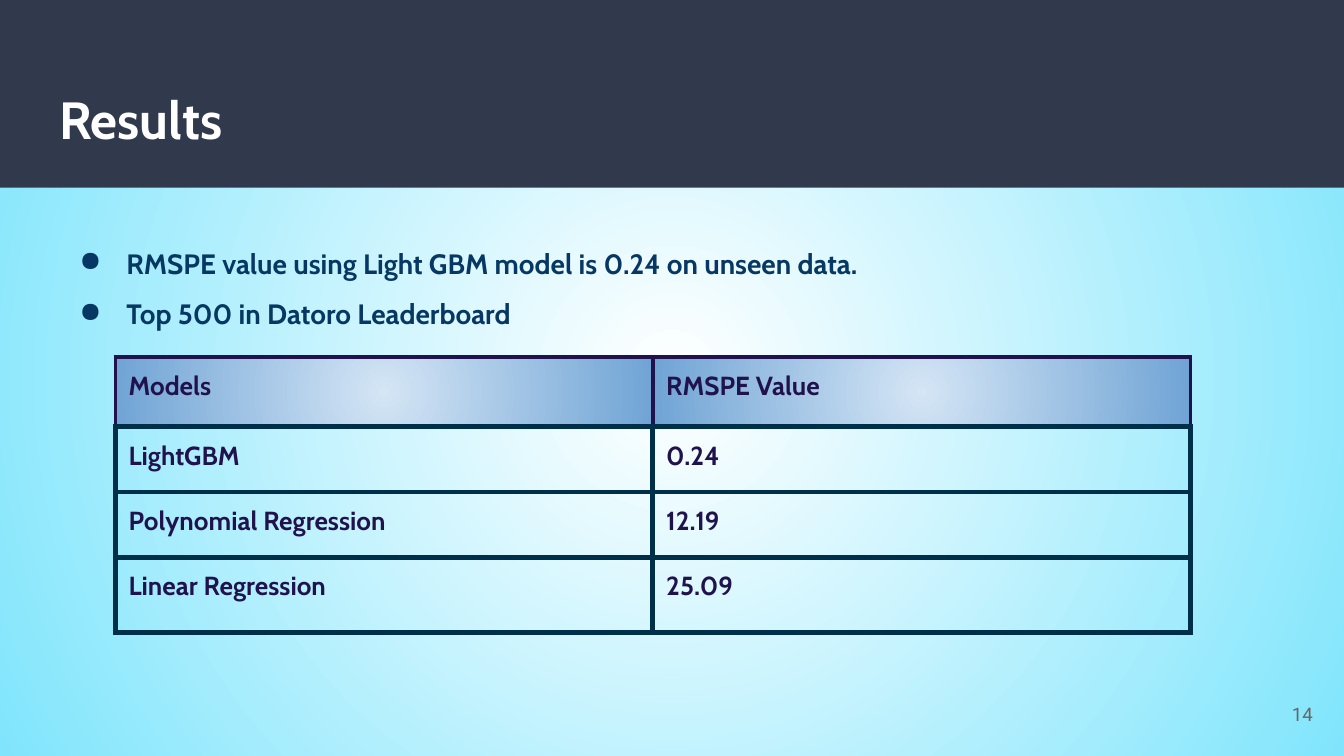
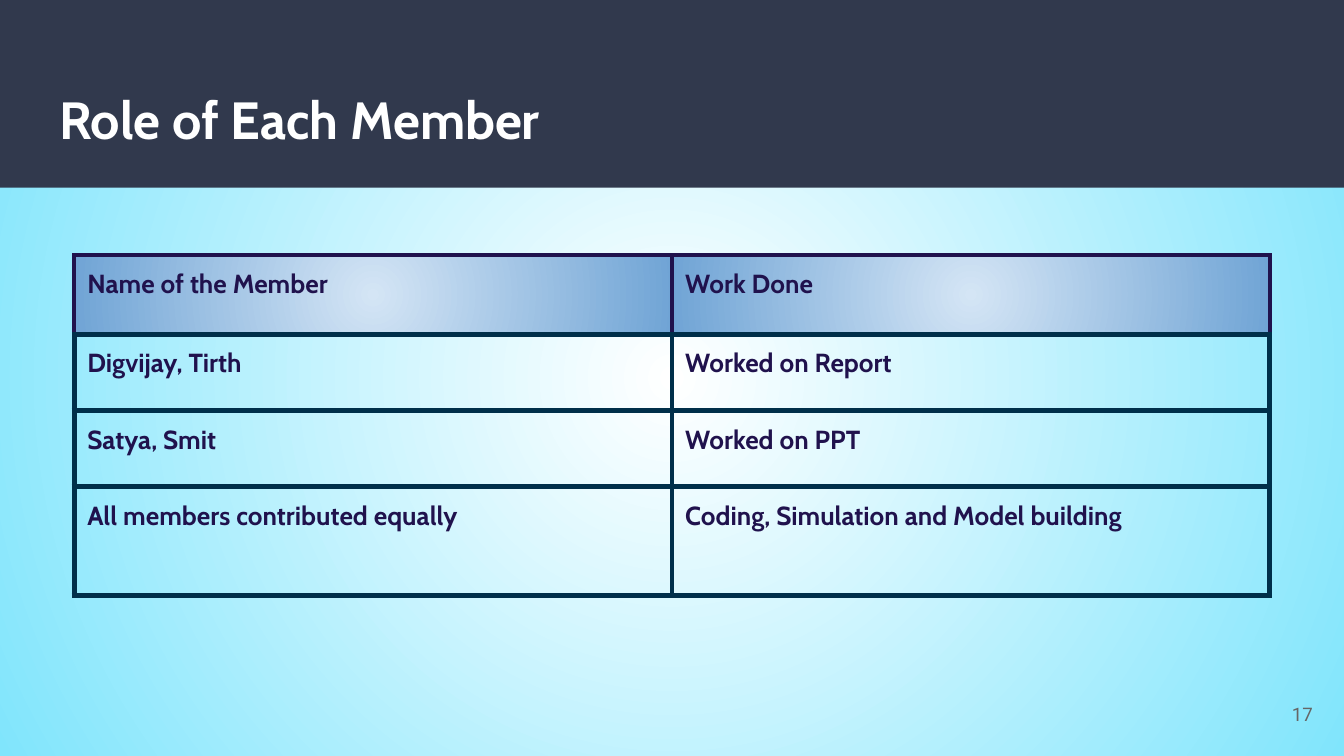
import pptx
import pptx.dml.color
import pptx.enum.shapes
import pptx.enum.text
import pptx.oxml
import pptx.oxml.ns
import pptx.util
from lxml import etree

Cm = pptx.util.Cm
Pt = pptx.util.Pt
ALIGN = pptx.enum.text.PP_ALIGN
ANCHOR = pptx.enum.text.MSO_ANCHOR
qn = pptx.oxml.ns.qn
NS = pptx.oxml.ns.nsdecls("a")

WIDTH, HEIGHT = 25.4, 14.29
MARGIN = 0.25


def rgb(color):
    return pptx.dml.color.RGBColor.from_string(color)


def radial_gradient(inner, outer):
    """Return a gradFill element that runs from the centre outwards."""
    return pptx.oxml.parse_xml(
        f'<a:gradFill {NS} rotWithShape="1"><a:gsLst>'
        f'<a:gs pos="0"><a:srgbClr val="{inner}"/></a:gs>'
        f'<a:gs pos="100000"><a:srgbClr val="{outer}"/></a:gs></a:gsLst>'
        '<a:path path="circle">'
        '<a:fillToRect l="50000" t="50000" r="50000" b="50000"/>'
        '</a:path></a:gradFill>')


def border(side, color, width):
    return pptx.oxml.parse_xml(
        f'<a:ln{side} {NS} w="{Pt(width)}" cap="flat" cmpd="sng">'
        f'<a:solidFill><a:srgbClr val="{color}"/></a:solidFill>'
        f'<a:prstDash val="solid"/></a:ln{side}>')


def add_bullet(p, color, char="●", left=1.27, hanging=0.89):
    pPr = p._p.get_or_add_pPr()
    pPr.set("marL", str(Cm(left)))
    pPr.set("indent", str(-Cm(hanging)))
    buClr = etree.SubElement(pPr, qn("a:buClr"))
    etree.SubElement(buClr, qn("a:srgbClr")).set("val", color)
    etree.SubElement(pPr, qn("a:buChar")).set("char", char)


def write_text(tf, lines, size=14, font="Cabin", color="20124D", bold=True,
               align=ALIGN.LEFT, spacing=None, bullets=False):
    """Write each line as one paragraph of the text frame."""
    for i, line in enumerate(lines):
        p = tf.add_paragraph() if i else tf.paragraphs[0]
        p.alignment = align
        if spacing:
            p.line_spacing = spacing
        if bullets:
            add_bullet(p, color)
        r = p.add_run()
        r.text = line
        r.font.size = Pt(size)
        r.font.name = font
        r.font.bold = bold
        r.font.color.rgb = rgb(color)


class Deck:
    """Holds the presentation's style and the current slide."""

    band = "31394D"
    background = ("FFFFFF", "80E5FC")
    header_fill = ("D4E5F5", "70A4D5")
    header_border = ("20124D", 2.25)
    body_border = ("002F4A", 3)

    def __init__(self):
        self.prs = pptx.Presentation()
        self.prs.slide_width = Cm(WIDTH)
        self.prs.slide_height = Cm(HEIGHT)
        self.s = None

    def slide(self, title, number):
        self.s = self.prs.slides.add_slide(self.prs.slide_layouts[6])
        self.s.background.fill.solid()
        solid = self.s.element.find(".//" + qn("p:bgPr")).find(qn("a:solidFill"))
        solid.getparent().replace(solid, radial_gradient(*self.background))
        self.rect(0, 0, WIDTH, 3.55, self.band)
        self.text([title], 0.87, 1.4, 23.67, 1.73, size=28, color="FFFFFF")
        self.text([str(number)], 23.54, 12.95, 1.52, 1.09, anchor=ANCHOR.MIDDLE,
                  size=10, font="Roboto", color="666666", bold=False,
                  align=ALIGN.RIGHT)

    def rect(self, x, y, w, h, color):
        sp = self.s.shapes.add_shape(pptx.enum.shapes.MSO_SHAPE.RECTANGLE,
                                     Cm(x), Cm(y), Cm(w), Cm(h))
        sp.shadow.inherit = False
        sp.fill.solid()
        sp.fill.fore_color.rgb = rgb(color)
        sp.line.fill.background()

    def text(self, lines, x, y, w, h, anchor=ANCHOR.TOP, **fmt):
        tf = self.s.shapes.add_textbox(Cm(x), Cm(y), Cm(w), Cm(h)).text_frame
        tf.word_wrap = True
        tf.vertical_anchor = anchor
        tf.margin_left = tf.margin_right = Cm(MARGIN)
        tf.margin_top = tf.margin_bottom = Cm(MARGIN)
        write_text(tf, lines, **fmt)

    def table(self, rows, x, y, col_width, row_heights):
        cols = len(rows[0])
        table = self.s.shapes.add_table(
            len(rows), cols, Cm(x), Cm(y),
            Cm(col_width * cols), Cm(sum(row_heights))).table
        table.first_row = table.horz_banding = False
        for column in table.columns:
            column.width = Cm(col_width)
        for i, (values, height) in enumerate(zip(rows, row_heights)):
            table.rows[i].height = Cm(height)
            for j, value in enumerate(values):
                self.cell(table.cell(i, j), value, is_header=i == 0)

    def cell(self, cell, value, is_header):
        cell.margin_left = cell.margin_right = Cm(MARGIN)
        cell.margin_top = cell.margin_bottom = Cm(MARGIN)
        write_text(cell.text_frame, [value])
        tcPr = cell._tc.get_or_add_tcPr()
        edge = self.header_border if is_header else self.body_border
        for side in "LRT":
            tcPr.append(border(side, *edge))
        tcPr.append(border("B", *self.body_border))
        if is_header:
            tcPr.append(radial_gradient(*self.header_fill))
        else:
            cell.fill.background()


def main():
    deck = Deck()

    deck.slide("Results", 14)
    deck.text(["RMSPE value using Light GBM model is 0.24 on unseen data.",
               "Top 500 in Datoro Leaderboard"],
              0.87, 4.09, 22.66, 2.59, size=15, color="073763",
              spacing=1.5, bullets=True)
    deck.table([("Models", "RMSPE Value"),
                ("LightGBM", "0.24"),
                ("Polynomial Regression", "12.19"),
                ("Linear Regression", "25.09")],
               2.18, 6.75, 10.16, [1.32, 1.23, 1.23, 1.43])

    deck.slide("Role of Each Member", 17)
    deck.table([("Name of the Member", "Work Done"),
                ("Digvijay, Tirth", "Worked on Report"),
                ("Satya, Smit", "Worked on PPT"),
                ("All members contributed equally",
                 "Coding, Simulation and Model building")],
               1.4, 4.82, 11.3, [1.5, 1.44, 1.44, 2.06])

    deck.prs.save("out.pptx")


if __name__ == "__main__":
    main()
